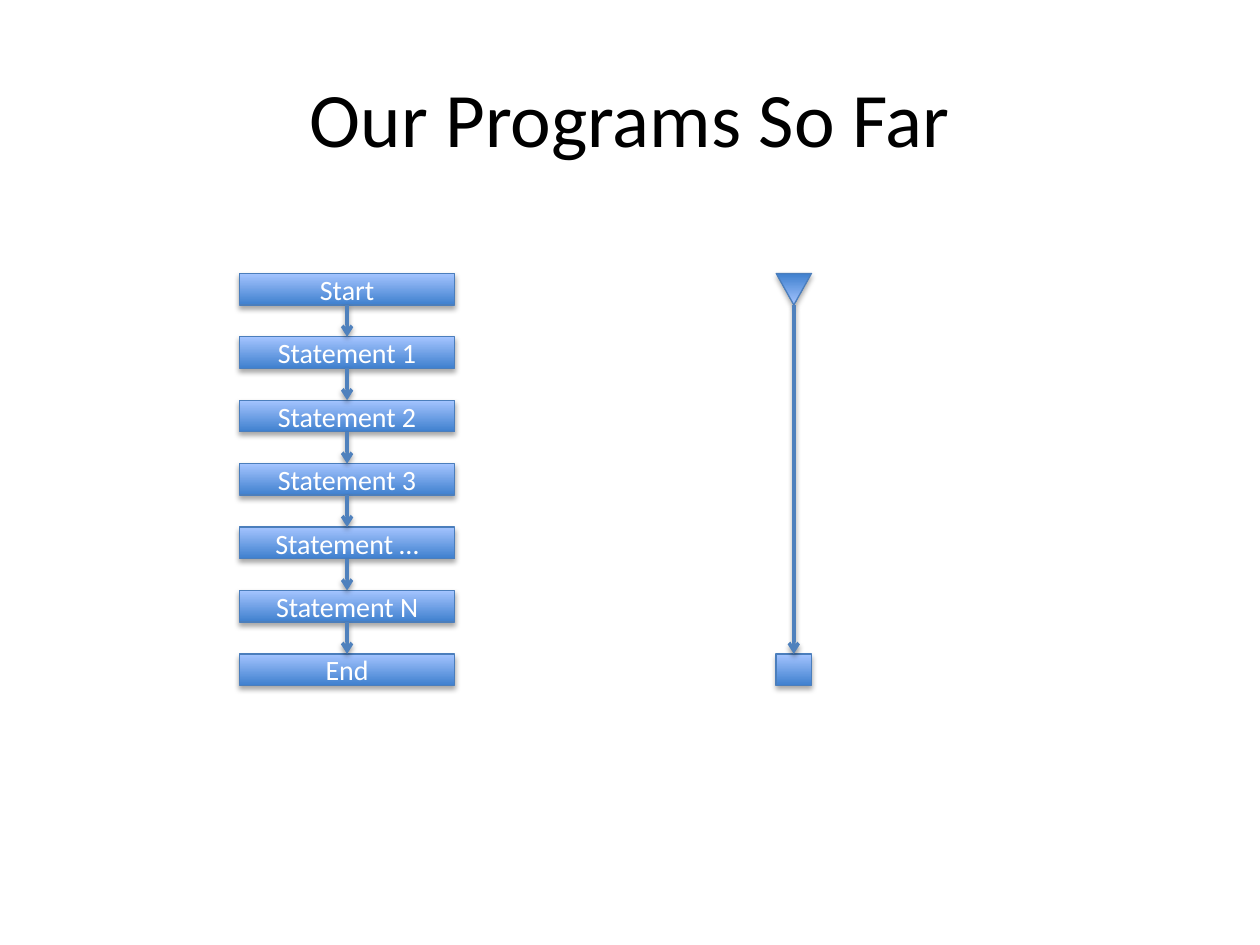
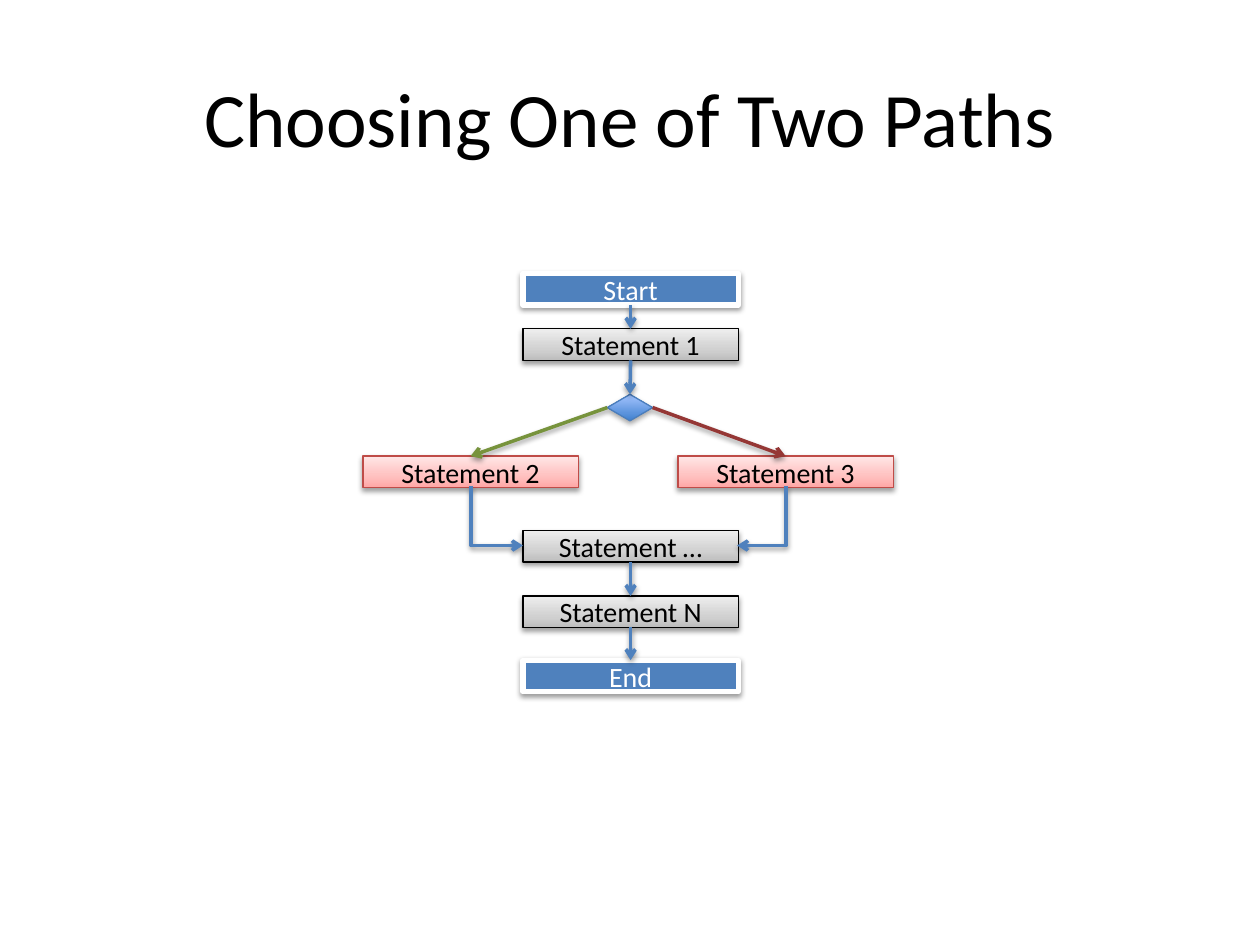
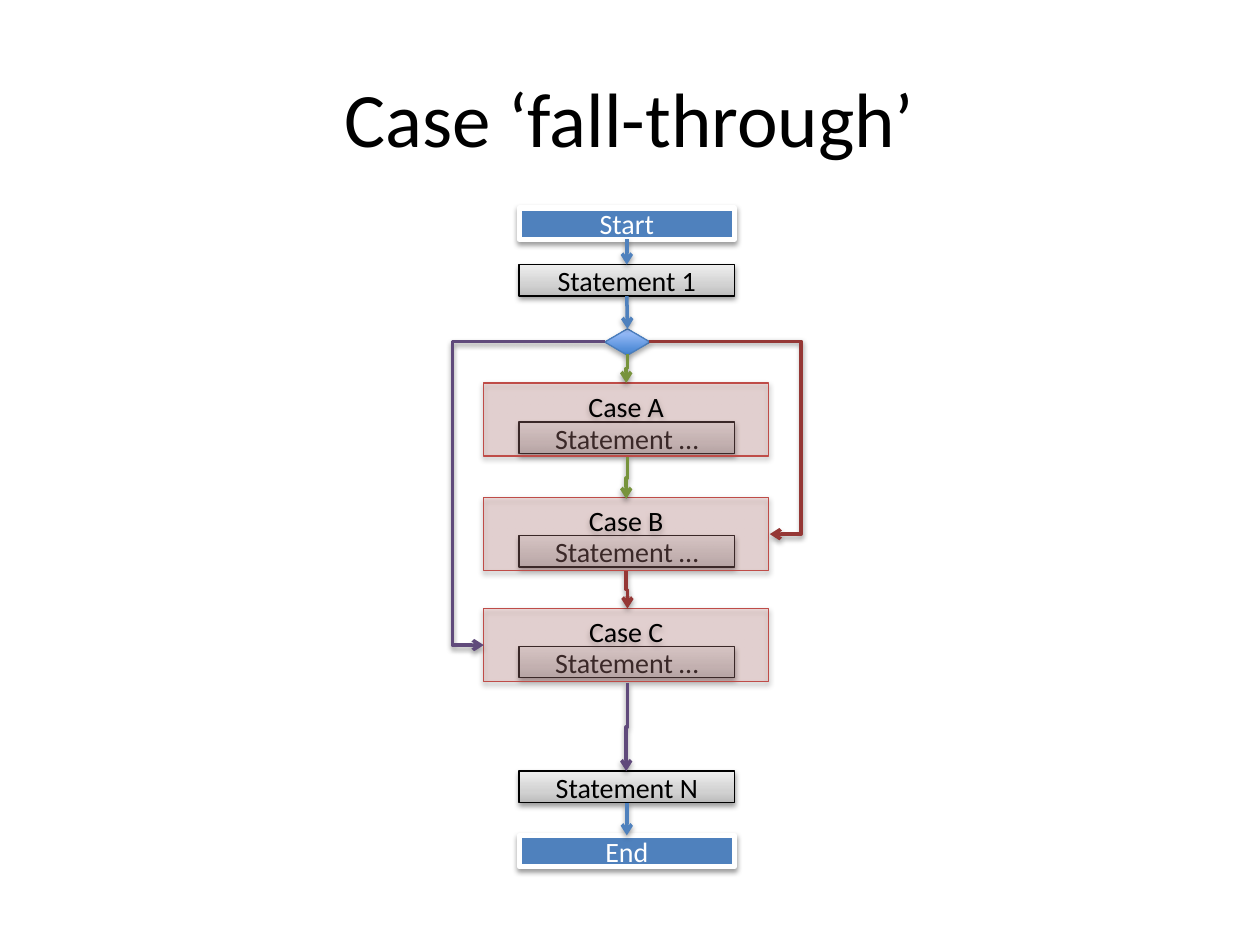
from dataclasses import dataclass
from itertools import pairwise

from lxml import etree
from pptx import Presentation
from pptx import util as u
from pptx.dml.color import RGBColor
from pptx.enum import shapes, text
from pptx.oxml.ns import qn

COLOURS = {
    "black": "000000", "white": "FFFFFF", "blue": "4F81BD", "blue edge": "4B7EBC",
    "red edge": "BF4C48", "rose": "D99694",
    "green": "77933C", "red": "953735", "purple": "604A7B",
}
FONT = "Calibri"
BOX_WIDTH, BOX_HEIGHT = 1.71, 0.25
TOP, LEFT, BOTTOM, RIGHT = range(4)  # connection sites
RECTANGLE = shapes.MSO_SHAPE.RECTANGLE


@dataclass(frozen=True)
class Shadow:
    opacity: int
    distance: float
    blur: float = 3.1


SOFT = Shadow(38, 1.6)
DEEP = Shadow(35, 1.8)


@dataclass(frozen=True)
class Style:
    edge: str
    ink: str = "black"
    fill: str = ""
    gradient: tuple[tuple[int, str], ...] = ()
    opacity: int = 100
    edge_width: float = 0.75
    shadow: Shadow = SOFT
    anchor: text.MSO_ANCHOR = text.MSO_ANCHOR.MIDDLE


BLUE = Style("blue edge", "white", gradient=((0, "3F80CE"), (100, "A4C4FF")), shadow=DEEP)
GREY = Style("black", gradient=((0, "BDBDBD"), (35, "D1D1D1"), (100, "EEEEEE")))
PINK = Style("red edge", gradient=((0, "FFA6A5"), (35, "FFC0BF"), (100, "FFE7E7")))
TERMINAL = Style("white", "white", fill="blue", edge_width=3)
CASE = Style("red edge", fill="rose", opacity=27, anchor=text.MSO_ANCHOR.TOP)


@dataclass(frozen=True)
class Box:
    label: str
    left: float
    top: float
    style: Style
    width: float = BOX_WIDTH
    height: float = BOX_HEIGHT
    geometry: shapes.MSO_SHAPE = RECTANGLE
    rotation: int = 0


@dataclass(frozen=True)
class Elbow:
    start: tuple[float, float]
    end: tuple[float, float]
    colour: str = "blue"
    vertical: bool = True   # leaves the start vertically
    corners: int = 2
    bend: float = 0.5       # share of the span at which it turns


def rgb(name: str) -> RGBColor:
    return RGBColor.from_string(COLOURS[name])


def write(shape, content: str, *, size: int = 16, colour: str = "black",
          anchor: text.MSO_ANCHOR = text.MSO_ANCHOR.MIDDLE) -> None:
    frame = shape.text_frame
    frame.word_wrap = True
    frame.vertical_anchor = anchor
    paragraph = frame.paragraphs[0]
    paragraph.alignment = text.PP_ALIGN.CENTER
    run = paragraph.add_run()
    run.text = content
    run.font.name = FONT
    run.font.size = u.Pt(size)
    run.font.color.rgb = rgb(colour)


def add_alpha(colour_element, percent: int) -> None:
    etree.SubElement(colour_element, qn("a:alpha"), val=str(percent * 1000))


def add_shadow(properties, shadow: Shadow) -> None:
    effects = properties.find(qn("a:effectLst"))
    if effects is None:
        effects = etree.SubElement(properties, qn("a:effectLst"))
    outer = etree.SubElement(
        effects, qn("a:outerShdw"), blurRad=str(u.Pt(shadow.blur)),
        dist=str(u.Pt(shadow.distance)), dir="5400000", rotWithShape="0")
    add_alpha(etree.SubElement(outer, qn("a:srgbClr"), val=COLOURS["black"]), shadow.opacity)


def add_box(slide, box: Box):
    style = box.style
    shape = slide.shapes.add_shape(
        box.geometry, *map(u.Inches, (box.left, box.top, box.width, box.height)))
    shape.rotation = box.rotation
    properties = shape._element.spPr
    if style.gradient:
        shape.fill.gradient()
        shape.fill.gradient_angle = 90
        stops = properties.find(".//" + qn("a:gsLst"))
        for stop in list(stops):
            stops.remove(stop)
        for position, colour in style.gradient:
            stop = etree.SubElement(stops, qn("a:gs"), pos=str(position * 1000))
            etree.SubElement(stop, qn("a:srgbClr"), val=colour)
    else:
        shape.fill.solid()
        shape.fill.fore_color.rgb = rgb(style.fill)
        if style.opacity < 100:
            add_alpha(properties.find(".//" + qn("a:srgbClr")), style.opacity)
    shape.line.color.rgb = rgb(style.edge)
    shape.line.width = u.Pt(style.edge_width)
    shape.shadow.inherit = False
    add_shadow(properties, style.shadow)
    if box.label:
        write(shape, box.label, colour=style.ink, anchor=style.anchor)
    return shape


def finish_arrow(connector, colour: str) -> None:
    connector.line.color.rgb = rgb(colour)
    connector.line.width = u.Pt(2)
    properties = connector._element.spPr
    etree.SubElement(properties.find(qn("a:ln")), qn("a:tailEnd"), type="arrow")
    add_shadow(properties, SOFT)


def add_arrow(slide, source, target, colour: str = "blue",
              leave: int = BOTTOM, enter: int = TOP) -> None:
    connector = slide.shapes.add_connector(shapes.MSO_CONNECTOR.STRAIGHT, 0, 0, 0, 0)
    connector.begin_connect(source, leave)
    connector.end_connect(target, enter)
    finish_arrow(connector, colour)


def add_elbow(slide, elbow: Elbow) -> None:
    (x1, y1), (x2, y2) = elbow.start, elbow.end
    if elbow.vertical:  # lay the route on its side, then turn it by 90 degrees
        middle_x, middle_y = (x1 + x2) / 2, (y1 + y2) / 2
        half_width, half_height = (x2 - x1) / 2, (y2 - y1) / 2
        x1, x2 = middle_x - half_height, middle_x + half_height
        y1, y2 = middle_y + half_width, middle_y - half_width
    connector = slide.shapes.add_connector(
        shapes.MSO_CONNECTOR.ELBOW, *map(u.Inches, (x1, y1, x2, y2)))
    properties = connector._element.spPr
    if elbow.vertical:
        properties.find(qn("a:xfrm")).set("rot", "5400000")
    geometry = properties.find(qn("a:prstGeom"))
    geometry.set("prst", f"bentConnector{elbow.corners + 1}")
    if elbow.bend != 0.5:
        guides = geometry.find(qn("a:avLst"))
        if guides is None:
            guides = etree.SubElement(geometry, qn("a:avLst"))
        etree.SubElement(guides, qn("a:gd"), name="adj1",
                         fmla=f"val {round(elbow.bend * 100000)}")
    finish_arrow(connector, elbow.colour)


def decision(left: float, top: float) -> Box:
    return Box("", left, top, BLUE, 0.36, 0.21, shapes.MSO_SHAPE.FLOWCHART_DECISION)


def add_titled_slide(presentation, title: str):
    slide = presentation.slides.add_slide(presentation.slide_layouts[6])
    title_box = slide.shapes.add_textbox(*map(u.Inches, (0.5, 0.3, 9, 1.25)))
    write(title_box, title, size=44)
    return slide


def build_sequence(presentation) -> None:
    slide = add_titled_slide(presentation, "Our Programs So Far")
    labels = ("Start", "Statement 1", "Statement 2", "Statement 3",
              "Statement …", "Statement N", "End")
    first, last = 2.17, 5.19
    pitch = (last - first) / (len(labels) - 1)
    steps = [add_box(slide, Box(label, 1.9, first + index * pitch, BLUE))
             for index, label in enumerate(labels)]
    for source, target in pairwise(steps):
        add_arrow(slide, source, target)

    # Condensed symbol of the same sequence
    add_box(slide, Box("", 6.16, first, BLUE, 0.28,
                       geometry=shapes.MSO_SHAPE.ISOSCELES_TRIANGLE, rotation=180))
    square = add_box(slide, Box("", 6.16, last, BLUE, 0.28))
    line = slide.shapes.add_connector(
        shapes.MSO_CONNECTOR.STRAIGHT, *map(u.Inches, (6.3, first + BOX_HEIGHT, 6.3, last)))
    line.end_connect(square, TOP)
    finish_arrow(line, "blue")


def build_two_paths(presentation) -> None:
    slide = add_titled_slide(presentation, "Choosing One of Two Paths")
    column = 4.15
    start, first, choice, left, right, merge, final, end = [add_box(slide, box) for box in (
        Box("Start", column, 2.17, TERMINAL),
        Box("Statement 1", column, 2.61, GREY),
        decision(4.82, 3.13),
        Box("Statement 2", 2.88, 3.62, PINK),
        Box("Statement 3", 5.38, 3.62, PINK),
        Box("Statement …", column, 4.21, GREY),
        Box("Statement N", column, 4.73, GREY),
        Box("End", column, 5.24, TERMINAL),
    )]
    for chain in ((start, first, choice), (merge, final, end)):
        for source, target in pairwise(chain):
            add_arrow(slide, source, target)
    add_arrow(slide, choice, left, "green", leave=LEFT)
    add_arrow(slide, choice, right, "red", leave=RIGHT)
    for start_x, end_x in ((3.74, column), (6.24, 5.85)):
        add_elbow(slide, Elbow((start_x, 3.86), (end_x, 4.33), corners=1))


def build_fall_through(presentation) -> None:
    slide = add_titled_slide(presentation, "Case ‘fall-through’")
    column = 4.12

    # Statements lie beneath their translucent cases
    for top in (3.35, 4.25, 5.13):
        add_box(slide, Box("Statement …", column, top, GREY))
    for label, top in (("Case A", 3.04), ("Case B", 3.95), ("Case C", 4.83)):
        add_box(slide, Box(label, 3.84, top, CASE, 2.26, 0.58))

    start, first, choice, final, end = [add_box(slide, box) for box in (
        Box("Start", column, 1.65, TERMINAL),
        Box("Statement 1", column, 2.1, GREY),
        decision(4.8, 2.61),
        Box("Statement N", column, 6.12, GREY),
        Box("End", column, 6.63, TERMINAL),
    )]
    for source, target in ((start, first), (first, choice), (final, end)):
        add_arrow(slide, source, target)

    # Entry into each case, then the fall from one to the next
    for elbow in (
        Elbow((4.98, 2.81), (4.97, 3.04), "green"),
        Elbow((5.15, 2.71), (6.11, 4.24), "red", vertical=False, bend=1.26),
        Elbow((4.8, 2.71), (3.84, 5.12), "purple", vertical=False, bend=1.26),
        Elbow((4.98, 3.63), (4.97, 3.96), "green"),
        Elbow((4.97, 4.53), (4.98, 4.83), "red"),
        Elbow((4.98, 5.42), (4.97, 6.12), "purple"),
    ):
        add_elbow(slide, elbow)


def main() -> None:
    presentation = Presentation()
    presentation.slide_width = u.Inches(10)
    presentation.slide_height = u.Inches(7.5)
    build_sequence(presentation)
    build_two_paths(presentation)
    build_fall_through(presentation)
    presentation.save("out.pptx")


if __name__ == "__main__":
    main()
